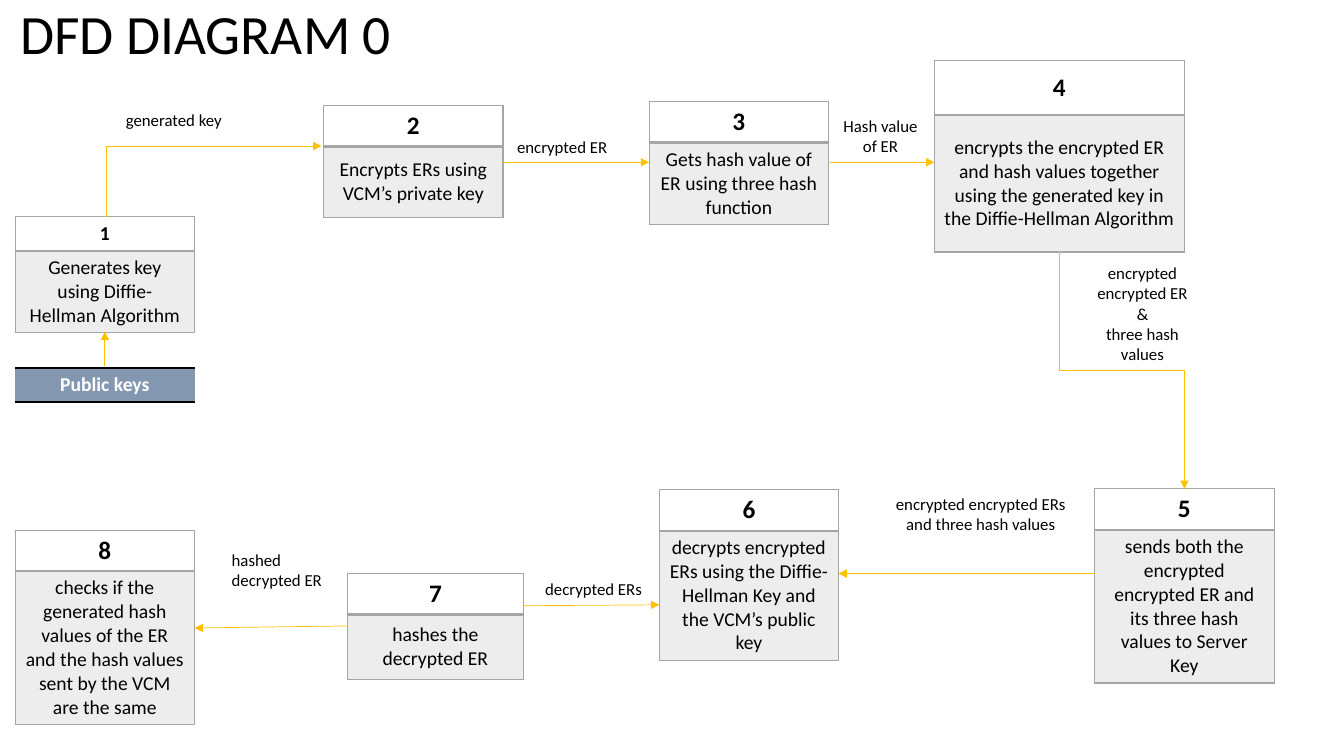
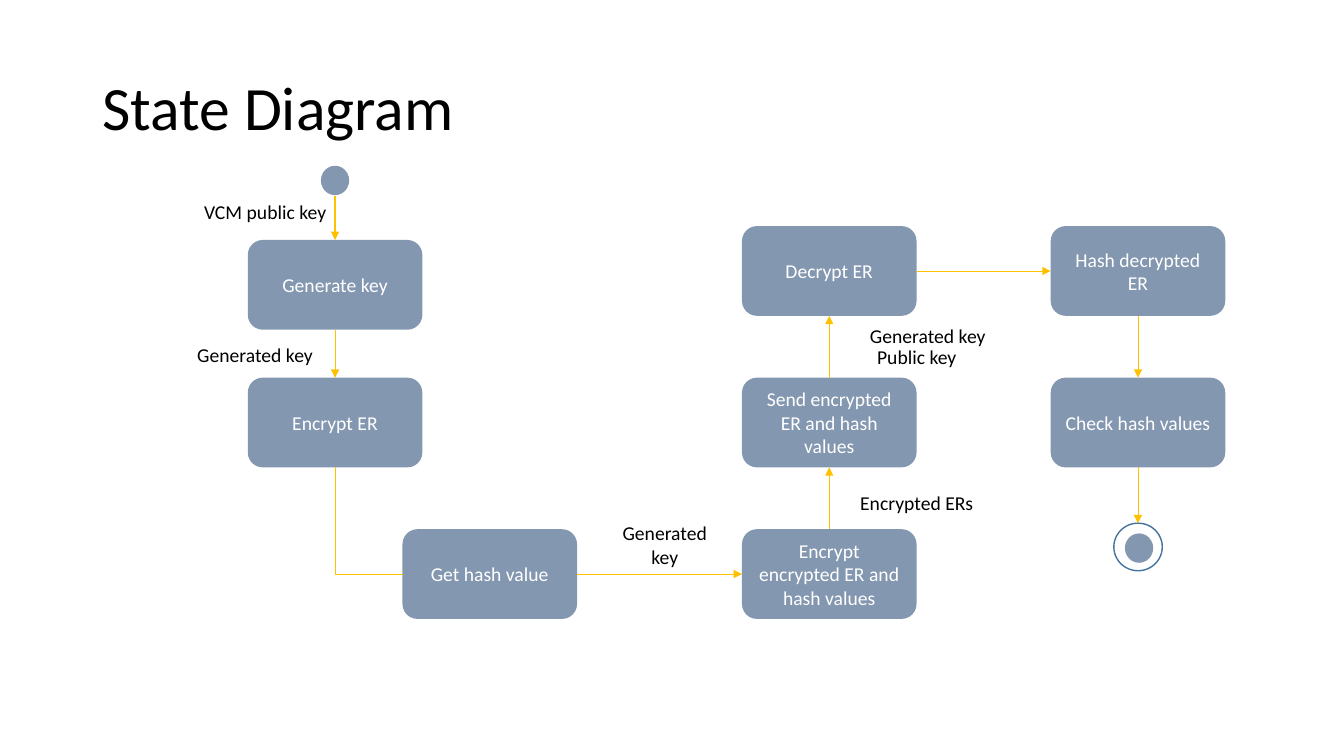
from dataclasses import dataclass

from lxml.etree import Element, SubElement
from pptx import Presentation
from pptx.dml.color import RGBColor
from pptx.enum.shapes import MSO_CONNECTOR as Link, MSO_SHAPE as Shape
from pptx.enum.text import MSO_ANCHOR as Anchor, PP_ALIGN as Align
from pptx.oxml.ns import qn
from pptx.util import Pt


@dataclass(frozen=True)
class Theme:
    """Colours, font and type sizes of the deck."""
    font: str = "Calibri"
    ink: str = "000000"
    paper: str = "FFFFFF"
    slate: str = "8497B0"
    grey: str = "A5A5A5"
    arrow: str = "FFC000"
    ring: str = "43739E"
    heading: float = 18
    text: float = 14
    label: float = 12


theme = Theme()


def write(frame, text, size=theme.text, color=theme.ink, bold=False,
          align=Align.CENTER, anchor=None, spacing=None):
    """Fill a text frame, one paragraph for each line of text."""
    frame.word_wrap = True
    if anchor is not None:
        frame.vertical_anchor = anchor
    for index, line in enumerate(text.split("\n")):
        para = frame.add_paragraph() if index else frame.paragraphs[0]
        para.alignment, para.line_spacing = align, spacing
        span = para.add_run()
        span.text = line
        span.font.name, span.font.size, span.font.bold = theme.font, Pt(size), bold
        span.font.color.rgb = RGBColor.from_string(color)


def connect(page, start, end, bend=None, turned=False, head=True, weight=0.5):
    """Draw a line; bend is where an elbow turns, turned makes it leave vertically."""
    (x1, y1), (x2, y2) = start, end
    if turned:
        middle_x, middle_y = (x1 + x2) / 2, (y1 + y2) / 2
        half_x, half_y = (x2 - x1) / 2, (y2 - y1) / 2
        x1, y1 = middle_x + half_y, middle_y - half_x
        x2, y2 = middle_x - half_y, middle_y + half_x
    kind = Link.STRAIGHT if bend is None else Link.ELBOW
    line = page.shapes.add_connector(kind, Pt(x1), Pt(y1), Pt(x2), Pt(y2))
    line.line.color.rgb = RGBColor.from_string(theme.arrow)
    line.line.width = Pt(weight)
    properties = line._element.spPr
    if turned:
        properties.find(qn("a:xfrm")).set("rot", "16200000")
    if bend is not None:
        guides = properties.find(qn("a:prstGeom")).find(qn("a:avLst"))
        SubElement(guides, qn("a:gd"), name="adj1", fmla=f"val {round(bend * 100000)}")
    if head:
        SubElement(properties.find(qn("a:ln")), qn("a:tailEnd"), type="triangle")
    SubElement(properties, qn("a:effectLst"))


deck = Presentation()
deck.slide_width, deck.slide_height = Pt(960), Pt(540)

# Pages with their titles
pages = []
for title, size, left, top, width, height in [
    ("DFD DIAGRAM 0", 39.6, 7.2, -0.7, 317, 54),
    ("State Diagram", 44, 66, 26.6, 828, 104.4),
]:
    page = deck.slides.add_slide(deck.slide_layouts[5])
    box = page.shapes.title
    box.left, box.top, box.width, box.height = Pt(left), Pt(top), Pt(width), Pt(height)
    write(box.text_frame, title, size, align=Align.LEFT, anchor=Anchor.MIDDLE, spacing=0.9)
    pages.append(page)
flow_page, state_page = pages

# Data flow: processes as two-row tables, the key store as a one-row table
processes = [
    ("1", 10.8, 154.8, 128.2, 24.3, 57.4, "Generates key using Diffie-Hellman Algorithm"),
    ("2", 231.1, 75.6, 128.2, 29.2, 50.7, "Encrypts ERs using VCM’s private key"),
    ("3", 463.7, 72.7, 128.2, 29.2, 57.4,
     "Gets hash value of ER using three hash function"),
    ("4", 667.4, 43.2, 178.6, 38.9, 97.9, "encrypts the encrypted ER and hash values together "
     "using the generated key in the Diffie-Hellman Algorithm"),
    ("5", 781.9, 349.2, 128.2, 29.2, 107.6,
     "sends both the encrypted encrypted ER and its three hash values to Server Key"),
    ("6", 470.9, 349.9, 128.2, 29.2, 91,
     "decrypts encrypted ERs using the Diffie-Hellman Key and the VCM’s public key"),
    ("7", 248.4, 409.7, 125.3, 29.2, 46.4, "hashes the decrypted ER"),
    ("8", 10.8, 378.7, 128.2, 29.2, 107.6, "checks if the generated hash values of the ER "
     "and the hash values sent by the VCM are the same"),
]
row_styles = {
    "head": dict(fill=None, edge=theme.grey, widths=dict(L=1, R=1, T=1, B=2)),
    "body": dict(fill=theme.grey, edge=theme.grey, widths=dict(L=1, R=1, T=2, B=1)),
    "store": dict(fill=theme.slate, edge=theme.ink, widths=dict(T=2, B=2)),
}
tables = [(10.8, 262.8, 128.2, [
    ("store", 24.3, "Public keys", dict(color=theme.paper, bold=True))])]
for number, left, top, width, head_height, body_height, task in processes:
    number_size = theme.text if number == "1" else theme.heading
    tables.append((left, top, width, [
        ("head", head_height, number, dict(size=number_size, bold=True)),
        ("body", body_height, task, {})]))

for left, top, width, rows in tables:
    height = sum(row[1] for row in rows)
    table = flow_page.shapes.add_table(
        len(rows), 1, Pt(left), Pt(top), Pt(width), Pt(height)).table
    table.first_row = table.horz_banding = False
    for index, (kind, row_height, text, text_format) in enumerate(rows):
        table.rows[index].height = Pt(row_height)
        cell, style = table.cell(index, 0), row_styles[kind]
        write(cell.text_frame, text, **text_format)
        cell.vertical_anchor = Anchor.MIDDLE
        if style["fill"]:
            cell.fill.solid()
            cell.fill.fore_color.rgb = RGBColor.from_string(style["fill"])
        else:
            cell.fill.background()
        properties = cell._tc.get_or_add_tcPr()
        if kind == "body":
            tint = next(properties.iter(qn("a:srgbClr")))
            SubElement(tint, qn("a:alpha"), val="20000")
        for place, side in enumerate("LRTB"):
            border = Element(qn(f"a:ln{side}"))
            properties.insert(place, border)
            if side in style["widths"]:
                border.set("w", str(Pt(style["widths"][side])))
                paint = SubElement(border, qn("a:solidFill"))
                SubElement(paint, qn("a:srgbClr"), val=style["edge"])
            else:
                SubElement(border, qn("a:noFill"))

for start, end, shape in [
    ((74.9, 261.4), (74.9, 236.9), {}),
    ((74.9, 154.8), (229.7, 104.4), dict(bend=0.008)),
    ((359.3, 115.9), (463.7, 115.9), {}),
    ((592.6, 115.9), (667.4, 115.9), {}),
    ((756.7, 179.3), (846, 349.2), dict(bend=0.5, turned=True)),
    ((781.9, 409.7), (599, 409.7), {}),
    ((373.7, 432.7), (470.9, 432), {}),
    ((248.4, 447.1), (139, 448.6), {}),
]:
    connect(flow_page, start, end, **shape)

# Labels of both pages
flow_labels = [
    ("generated key", 82.8, 74.9, 87.1, 21.6, Align.LEFT),
    ("encrypted ER", 362.2, 94.3, 87.1, 21.6, Align.LEFT),
    ("Hash value of ER", 592.6, 79.2, 72.7, 51.1, Align.CENTER),
    ("encrypted encrypted ER &\nthree hash values", 771.8, 184.3, 88.6, 79.9, Align.CENTER),
    ("encrypted encrypted ERs and three hash values",
     629.3, 349.2, 142.6, 36, Align.CENTER),
    ("decrypted ERs", 382.3, 409.7, 111.6, 21.6, Align.LEFT),
    ("hashed decrypted ER", 158.4, 388.8, 79.9, 36, Align.LEFT),
]
state_labels = [
    ("VCM public key", 128.9, 139, 121, 24.5, Align.CENTER),
    ("Generated key", 121.7, 241.2, 121, 24.5, Align.CENTER),
    ("Generated key", 431.3, 368.6, 87.1, 41, Align.CENTER),
    ("Encrypted ERs", 600.5, 347, 108.7, 24.5, Align.CENTER),
    ("Generated key", 608.4, 228.2, 108.7, 24.5, Align.CENTER),
    ("Public key", 600.5, 242.6, 108.7, 24.5, Align.CENTER),
]
for page, labels, size in [(flow_page, flow_labels, theme.label),
                           (state_page, state_labels, theme.text)]:
    for text, left, top, width, height, align in labels:
        box = page.shapes.add_textbox(Pt(left), Pt(top), Pt(width), Pt(height))
        write(box.text_frame, text, size, align=align)

# State diagram: states, start dot and end ring
state_width, state_height = 124.7, 64.1
upper, middle, lower = [161.5 + 108.25 * row for row in range(3)]
states = {
    "Generate key": (177, 171.4),
    "Encrypt ER": (177, middle),
    "Get hash value": (287.5, lower),
    "Encrypt encrypted ER and hash values": (530, lower),
    "Send encrypted ER and hash values": (530, middle),
    "Decrypt ER": (530, upper),
    "Hash decrypted ER": (750.5, upper),
    "Check hash values": (750.5, middle),
}
marks = [(Shape.ROUNDED_RECTANGLE, left, top, state_width, state_height,
          theme.slate, None, name) for name, (left, top) in states.items()]
marks += [
    (Shape.OVAL, 229.2, 118.4, 20.2, 21, theme.slate, None, ""),
    (Shape.OVAL, 795.6, 373.7, 34.6, 34, theme.paper, theme.ring, ""),
    (Shape.OVAL, 803.5, 381, 20.2, 21, theme.slate, None, ""),
]
for kind, left, top, width, height, fill, edge, name in marks:
    mark = state_page.shapes.add_shape(kind, Pt(left), Pt(top), Pt(width), Pt(height))
    mark.shadow.inherit = False
    mark.fill.solid()
    mark.fill.fore_color.rgb = RGBColor.from_string(fill)
    if edge:
        mark.line.color.rgb = RGBColor.from_string(edge)
        mark.line.width = Pt(1)
    else:
        mark.line.fill.background()
    if name:
        write(mark.text_frame, name, color=theme.paper, anchor=Anchor.MIDDLE)

# Arrows run between neighbouring states, along a column or a row
places = list(states.values())
for (left, top), (next_left, next_top) in zip(places, places[1:]):
    center, next_center = left + state_width / 2, next_left + state_width / 2
    level, next_level = top + state_height / 2, next_top + state_height / 2
    if left == next_left:
        down = next_top > top
        connect(state_page, (center, top + state_height * down),
                (next_center, next_top + state_height * (not down)))
    elif top == next_top:
        connect(state_page, (left + state_width, level), (next_left, next_level))
    else:
        connect(state_page, (center, top + state_height), (next_left, next_level),
                bend=1, turned=True, head=False)
start_center, end_center = [places[index][0] + state_width / 2 for index in (0, -1)]
connect(state_page, (start_center, 139.7), (start_center, places[0][1]), weight=1.5)
connect(state_page, (end_center, middle + state_height), (end_center, 373.7))

deck.save("out.pptx")
